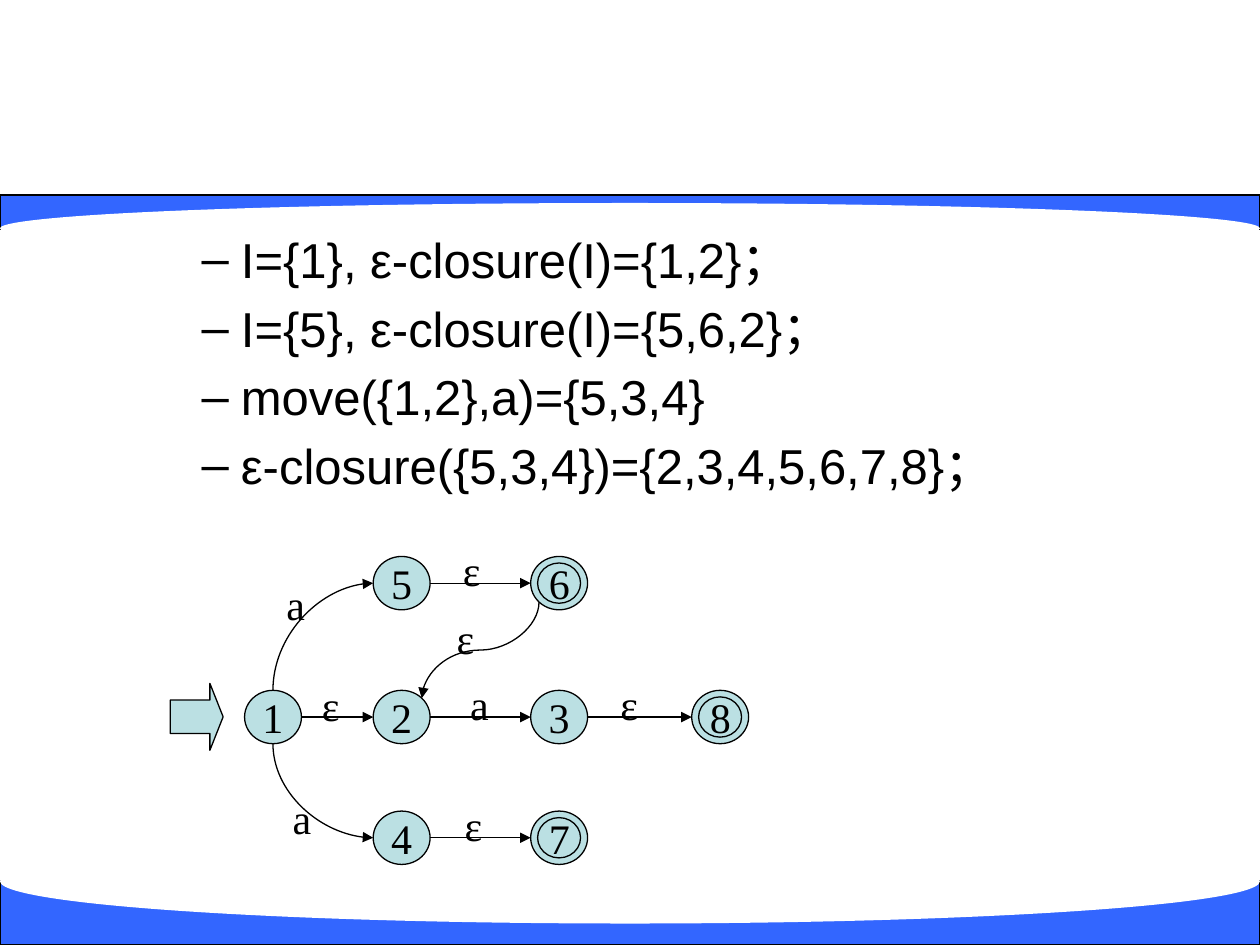
from math import sqrt
from typing import NamedTuple

from lxml import etree
from pptx import Presentation
from pptx import util as u
from pptx.dml.color import RGBColor
from pptx.enum import shapes as kinds, text as t
from pptx.oxml import ns

BLACK, WHITE, BLUE, TEAL = "000000", "FFFFFF", "3366FF", "BBE0E3"
STATE_W, STATE_H = 32.5, 30.5
INNER = 0.755  # inner ring of an accepting state, relative to the outer one
LABEL_W, LABEL_H = 26, 36
SERIF = {"name": "Times New Roman", "size": u.Pt(24)}
SANS = {"name": "Arial", "size": u.Pt(28)}

COLUMNS = (156, 229.5, 319.5, 411.5)
ROWS = (333.25, 409.75, 478.75)

# Sides of a state, as offsets in half widths and half heights
DIAGONAL = 1 / sqrt(2)
LEFT, RIGHT, TOP, BOTTOM = (-1, 0), (1, 0), (0, -1), (0, 1)
LOWER_LEFT, UPPER_RIGHT = (-DIAGONAL, DIAGONAL), (DIAGONAL, -DIAGONAL)


class Band(NamedTuple):
    kind: kinds.MSO_SHAPE
    top: float
    height: float
    fill: str
    line: str | None


class State(NamedTuple):
    column: int
    row: int
    accepting: bool = False

    def side(self, offset: tuple) -> tuple:
        return (COLUMNS[self.column] + offset[0] * STATE_W / 2,
                ROWS[self.row] + offset[1] * STATE_H / 2)


class Move(NamedTuple):
    source: str
    target: str
    symbol: str
    symbol_at: tuple
    leave: tuple = RIGHT
    enter: tuple = LEFT
    curve: str = ""


BANDS = (
    Band(kinds.MSO_SHAPE.RECTANGLE, 111.5, 19.5, BLUE, BLACK),
    Band(kinds.MSO_SHAPE.OVAL, 116, 29, WHITE, None),
    Band(kinds.MSO_SHAPE.RECTANGLE, 503.25, 36.75, BLUE, BLACK),
    Band(kinds.MSO_SHAPE.OVAL, 479.5, 48.25, WHITE, None),
)
CLOSURES = (
    "I={1}, ε-closure(I)={1,2}；",
    "I={5}, ε-closure(I)={5,6,2}；",
    "move({1,2},a)={5,3,4}",
    "ε-closure({5,3,4})={2,3,4,5,6,7,8}；",
)
STATES = {
    "1": State(0, 1),
    "2": State(1, 1),
    "5": State(1, 0),
    "3": State(2, 1),
    "4": State(1, 2),
    "6": State(2, 0, True),
    "8": State(3, 1, True),
    "7": State(2, 2, True),
}
MOVES = (
    Move("4", "7", "ε", (270.5, 471)),
    Move("2", "3", "a", (274, 402)),
    Move("6", "2", "ε", (266, 364.5), LOWER_LEFT, UPPER_RIGHT, "curvedConnector3"),
    Move("5", "6", "ε", (269.5, 325.5)),
    Move("1", "2", "ε", (189, 402.5)),
    Move("1", "5", "a", (169, 345), TOP, LEFT, "curvedConnector2"),
    Move("1", "4", "a", (172.5, 467.5), BOTTOM, LEFT, "curvedConnector2"),
    Move("3", "8", "ε", (359.5, 402)),
)


def color(value: str) -> RGBColor:
    return RGBColor.from_string(value)


def format_font(font, values: dict) -> None:
    for key, value in values.items():
        setattr(font, key, value)
    font.color.rgb = color(BLACK)


def write_centered(shape, words: str) -> None:
    frame = shape.text_frame
    frame.word_wrap = False
    frame.vertical_anchor = t.MSO_ANCHOR.MIDDLE
    paragraph = frame.paragraphs[0]
    paragraph.alignment = t.PP_ALIGN.CENTER
    paragraph.text = words
    format_font(paragraph.font, SERIF)


def draw_shape(slide, kind, left: float, top: float, width: float, height: float,
               fill: str = TEAL, line: str | None = BLACK):
    shape = slide.shapes.add_shape(kind, *map(u.Pt, (left, top, width, height)))
    shape.shadow.inherit = False
    shape.fill.solid()
    shape.fill.fore_color.rgb = color(fill)
    if line:
        shape.line.color.rgb = color(line)
        shape.line.width = u.Pt(0.75)
    else:
        shape.line.fill.background()
    return shape


def draw_label(slide, words: str, center: tuple) -> None:
    x, y = center
    label = slide.shapes.add_textbox(u.Pt(x - LABEL_W / 2), u.Pt(y - LABEL_H / 2),
                                     u.Pt(LABEL_W), u.Pt(LABEL_H))
    write_centered(label, words)
    label.text_frame.auto_size = t.MSO_AUTO_SIZE.SHAPE_TO_FIT_TEXT


def draw_state(slide, name: str, state: State) -> None:
    x, y = state.side((0, 0))
    for scale in (1, INNER) if state.accepting else (1,):
        width, height = STATE_W * scale, STATE_H * scale
        ring = draw_shape(slide, kinds.MSO_SHAPE.OVAL, x - width / 2, y - height / 2,
                          width, height)
    if state.accepting:
        draw_label(slide, name, (x, y))
    else:
        write_centered(ring, name)


def draw_move(slide, move: Move) -> None:
    x1, y1 = STATES[move.source].side(move.leave)
    x2, y2 = STATES[move.target].side(move.enter)
    kind, ends = kinds.MSO_CONNECTOR.STRAIGHT, (x1, y1, x2, y2)
    if move.curve:
        # A curve that leaves vertically is a turned one, so its frame swaps sides
        kind = kinds.MSO_CONNECTOR.CURVE
        x, y = (x1 + x2) / 2, (y1 + y2) / 2
        half_w, half_h = abs(y2 - y1) / 2, abs(x2 - x1) / 2
        if x2 > x1 and y2 > y1:
            half_w = -half_w
        ends = (x - half_w, y - half_h, x + half_w, y + half_h)
    arrow = slide.shapes.add_connector(kind, *map(u.Pt, ends))
    arrow.line.color.rgb = color(BLACK)
    arrow.line.width = u.Pt(0.75)
    properties = arrow.element.spPr
    if move.curve:
        turn = 90 if x2 < x1 else 270
        properties.find(ns.qn("a:xfrm")).set("rot", str(turn * 60000))
        properties.find(ns.qn("a:prstGeom")).set("prst", move.curve)
    etree.SubElement(properties.find(ns.qn("a:ln")), ns.qn("a:tailEnd"), type="triangle")
    etree.SubElement(properties, ns.qn("a:effectLst"))


def fill_body(body) -> None:
    body.left, body.top, body.width, body.height = map(u.Pt, (72, 127.5, 594, 211))
    frame = body.text_frame
    frame.auto_size = t.MSO_AUTO_SIZE.NONE
    for index, closure in enumerate(CLOSURES):
        paragraph = frame.add_paragraph() if index else frame.paragraphs[0]
        paragraph.text = closure
        paragraph.level = 1
        format_font(paragraph.font, SANS)
    frame.paragraphs[0].space_before = u.Pt(0)


def main() -> None:
    deck = Presentation()
    deck.slide_width, deck.slide_height = u.Pt(720), u.Pt(540)
    slide = deck.slides.add_slide(deck.slide_layouts[1])
    title, body = slide.placeholders
    title.element.getparent().remove(title.element)

    # Curved bands, with the closure list in front of them
    for band in BANDS:
        edge = draw_shape(slide, band.kind, 0, band.top, 720, band.height,
                          band.fill, band.line)
    fill_body(body)
    edge.element.addnext(body.element)

    # Automaton: states, moves, then the symbols on the moves
    for name, state in STATES.items():
        draw_state(slide, name, state)
    for move in MOVES:
        draw_move(slide, move)
    for move in MOVES:
        draw_label(slide, move.symbol, move.symbol_at)

    # Start arrow
    start = draw_shape(slide, kinds.MSO_SHAPE.RIGHT_ARROW, 97.25, 390.5, 30.25, 38.25)
    start.adjustments[1] = 0.25

    deck.save("out.pptx")


if __name__ == "__main__":
    main()
